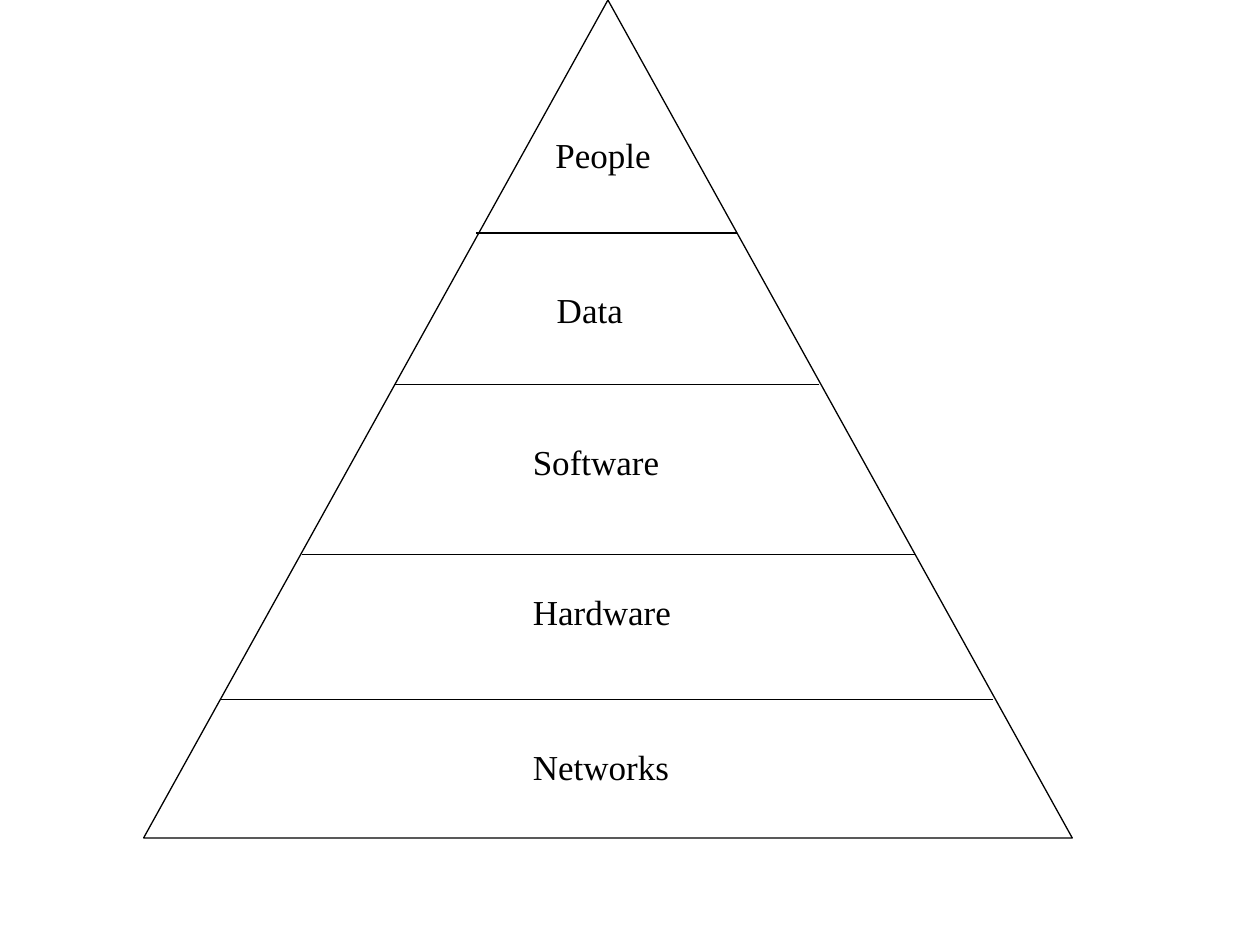
from lxml.etree import SubElement
from pptx import Presentation
from pptx.dml.color import RGBColor
from pptx.enum.shapes import MSO_CONNECTOR, MSO_SHAPE
from pptx.enum.text import MSO_AUTO_SIZE
from pptx.oxml.ns import qn
from pptx.util import Inches, Pt

BLACK = RGBColor(0x00, 0x00, 0x00)
WHITE = RGBColor(0xFF, 0xFF, 0xFF)

deck = Presentation()
deck.slide_width = Inches(10)
deck.slide_height = Inches(7.5)
page = deck.slides.add_slide(deck.slide_layouts[6])
pyramid = page.shapes.add_group_shape()

# Pyramid outline
triangle = pyramid.shapes.add_shape(
    MSO_SHAPE.ISOSCELES_TRIANGLE, Inches(1.14), Inches(0), Inches(7.37), Inches(6.65))
triangle.shadow.inherit = False
triangle.fill.solid()
triangle.fill.fore_color.rgb = WHITE
triangle.line.color.rgb = BLACK
triangle.line.width = Pt(0.75)

# Dividers between layers: left, right, height
dividers = [(3.78, 5.85, 1.85), (3.13, 6.5, 3.05), (2.4, 7.26, 4.4), (1.75, 7.88, 5.55)]
for left, right, height in dividers:
    divider = pyramid.shapes.add_connector(
        MSO_CONNECTOR.STRAIGHT, Inches(left), Inches(height), Inches(right), Inches(height))
    divider.line.color.rgb = BLACK
    divider.line.width = Pt(0.75)
    SubElement(divider._element.spPr, qn("a:effectLst"))

# Layer labels: text, left, top
labels = [
    ("People", 4.31, 1.01),
    ("Data", 4.32, 2.24),
    ("Software", 4.13, 3.45),
    ("Hardware", 4.13, 4.64),
    ("Networks", 4.13, 5.87),
]
for text, left, top in labels:
    box = pyramid.shapes.add_textbox(Inches(left), Inches(top), Inches(1.49), Inches(0.44))
    frame = box.text_frame
    frame.word_wrap = True
    frame.auto_size = MSO_AUTO_SIZE.SHAPE_TO_FIT_TEXT
    para = frame.paragraphs[0]
    para.text = text
    para.space_after = Pt(10)
    para.font.name = "Times New Roman"
    para.font.size = Pt(20)
    para.font.color.rgb = BLACK

deck.save("out.pptx")
